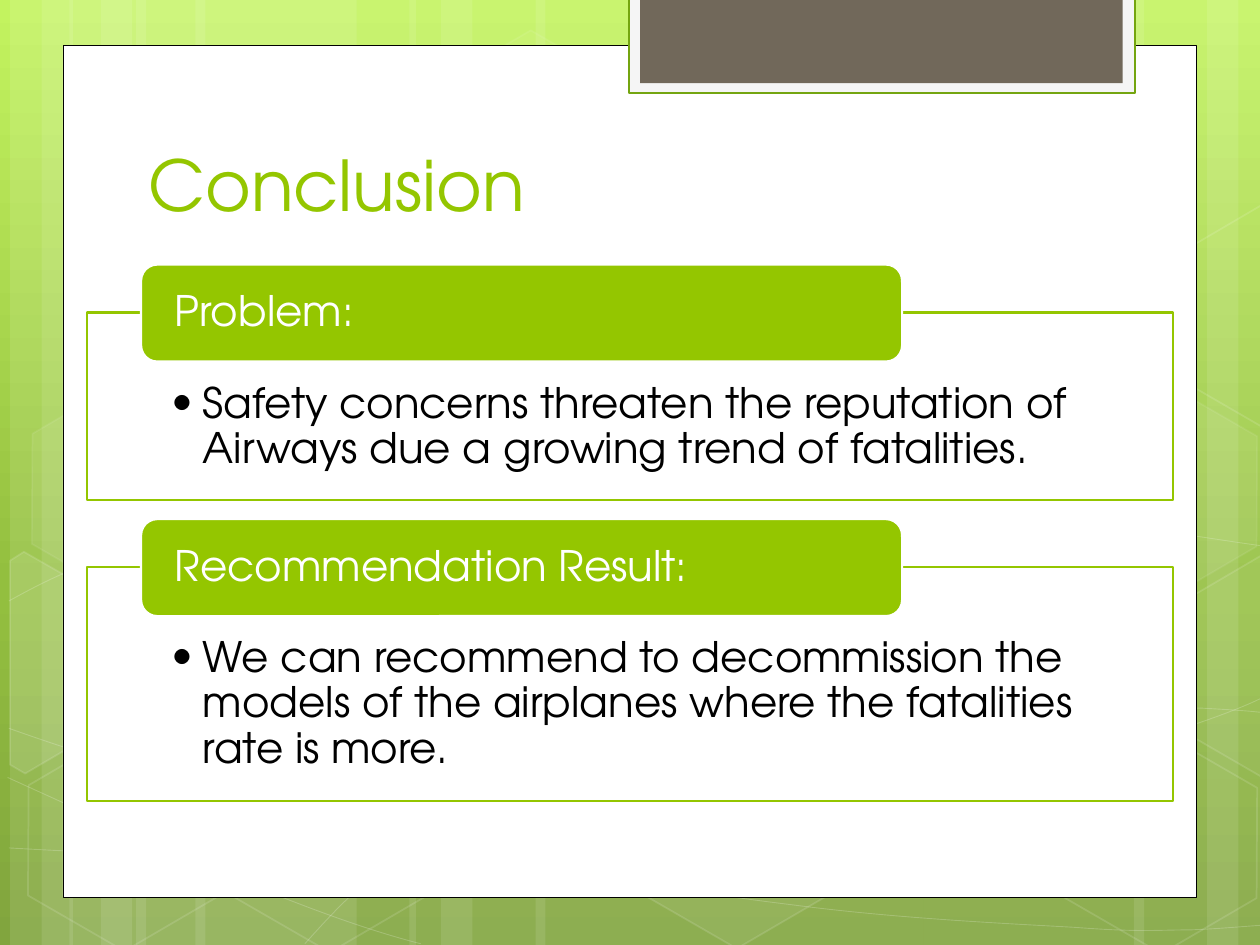
from dataclasses import dataclass
from typing import NamedTuple

from lxml import etree
from pptx import Presentation
from pptx.dml.color import RGBColor
from pptx.enum.shapes import MSO_SHAPE
from pptx.enum.text import MSO_ANCHOR, PP_ALIGN
from pptx.oxml.ns import qn
from pptx.util import Inches, Pt

RECT, ROUND, HEX = MSO_SHAPE.RECTANGLE, MSO_SHAPE.ROUNDED_RECTANGLE, MSO_SHAPE.HEXAGON
TOP, MIDDLE, BOTTOM = MSO_ANCHOR.TOP, MSO_ANCHOR.MIDDLE, MSO_ANCHOR.BOTTOM
LEFT = PP_ALIGN.LEFT


@dataclass(frozen=True)
class Theme:
    font: str = "TeX Gyre Adventor"
    title: int = 40
    body: int = 24
    green: str = "94C600"
    edge: str = "74A510"
    white: str = "FFFFFF"
    black: str = "000000"
    pale: str = "F5F5F5"
    brown: str = "71685A"
    sky: tuple = ((0, "C3F35F"), (62, "93BF3F"), (100, "81A53E"))


class Box(NamedTuple):
    left: float
    top: float
    width: float
    height: float


class Paint(NamedTuple):
    """Colour, opacity in percent, and width in points for a line."""
    color: str
    alpha: int = 100
    width: float = 0


class Hexagon(NamedTuple):
    left: float
    top: float
    fill: int
    line: int


class Shard(NamedTuple):
    points: list
    fill: int


class Card(NamedTuple):
    top: float
    height: float
    head: str
    body: str


T = Theme()

# Each curve is a start point followed by cubic segments (two controls and an end)
CURVES = [
    [(.07, 6.73), (.61, 6.76), (1.15, 6.79), (1.9, 6.78), (2.65, 6.77), (3.58, 6.75), (4.58, 6.65),
     (5.58, 6.55), (7, 6.36), (7.92, 6.17), (8.83, 5.98), (9.77, 5.68), (10.07, 5.51)],
    [(.07, 4.77), (.36, 4.61), (.65, 4.46), (1.21, 4.31), (1.78, 4.16), (2.59, 3.94), (3.47, 3.87),
     (4.36, 3.8), (5.44, 3.79), (6.54, 3.87), (7.64, 3.95), (9.47, 4.26), (10.07, 4.34)],
    [(.06, 6.17), (1.27, 6.72), (2.47, 7.27), (3.34, 7.49)],
    [(.07, 5.78), (.38, 5.89), (.7, 6), (1.28, 6.16), (1.86, 6.31), (2.73, 6.56), (3.57, 6.73),
     (4.4, 6.9), (5.45, 7.08), (6.28, 7.18), (7.11, 7.29), (8, 7.33), (8.53, 7.36),
     (9.05, 7.4), (9.19, 7.38), (9.45, 7.38), (9.71, 7.37), (9.89, 7.35), (10.07, 7.34)],
    [(2.42, 7.49), (2.6, 7.29), (2.78, 7.09), (3.02, 6.91), (3.26, 6.73), (3.6, 6.53), (3.88, 6.39),
     (4.16, 6.25), (4.33, 6.19), (4.7, 6.09), (5.06, 5.99), (5.73, 5.85), (6.08, 5.78),
     (6.44, 5.71), (6.49, 5.71), (6.8, 5.69), (7.11, 5.66), (7.6, 5.63), (7.94, 5.62),
     (8.29, 5.61), (8.86, 5.62), (8.86, 5.62), (9.08, 5.62), (9.31, 5.62), (9.53, 5.62),
     (9.71, 5.63), (9.88, 5.64), (9.97, 5.65), (10.06, 5.66), (10.03, 5.65), (10.06, 5.66)],
]
HEXES = [
    Hexagon(3.34, .36, 4, 8), Hexagon(4.97, 5.89, 6, 12), Hexagon(.11, 5.91, 0, 12),
    Hexagon(.14, 3.12, 7, 8), Hexagon(1.74, 5.92, 0, 12), Hexagon(7.53, 4.53, 10, 12),
    Hexagon(8.34, 5.93, 0, 12), Hexagon(8.34, 3.14, 7, 8),
]
SHARDS = [
    Shard([(.08, 4.45), (.19, 4.38), (.96, 4.82), (.95, 5.7), (.2, 6.14), (.08, 6.07)], 10),
    Shard([(9.26, 4.85), (10.01, 4.41), (10.09, 4.46), (10.09, 6.13), (10.02, 6.17), (9.26, 5.73)], 4),
    Shard([(9.26, 2.07), (10.01, 1.63), (10.1, 1.68), (10.09, 3.35), (10.02, 3.39), (9.26, 2.95)], 0),
]
CARDS = [
    Card(2.48, 1.49, "Problem:",
         "Safety concerns threaten the reputation of Airways due a growing trend of fatalities."),
    Card(4.5, 1.86, "Recommendation Result:",
         "We can recommend to decommission the models of the airplanes where the fatalities rate is more."),
]


def tint(fill, paint: Paint) -> None:
    fill.solid()
    fill.fore_color.rgb = RGBColor.from_string(paint.color)
    if paint.alpha < 100:
        color = fill._xPr.find(".//" + qn("a:srgbClr"))
        etree.SubElement(color, qn("a:alpha"), val=str(paint.alpha * 1000))


def style(shape, fill: Paint | None, line: Paint | None) -> None:
    shape.shadow.inherit = False
    for part, paint in ((shape.fill, fill), (shape.line.fill, line)):
        if paint and paint.alpha:
            tint(part, paint)
        else:
            part.background()
    if line:
        shape.line.width = Pt(line.width)


def draw(slide, kind, box: Box, fill: Paint | None = None, line: Paint | None = None):
    shape = slide.shapes.add_shape(kind, *map(Inches, box))
    style(shape, fill, line)
    return shape


def trace(slide, points: list, closed: bool, fill: Paint | None, line: Paint):
    dots = [(Inches(x), Inches(y)) for x, y in points]
    pen = slide.shapes.build_freeform(*dots[0])
    pen.add_line_segments(dots[1:], close=closed)
    shape = pen.convert_to_shape()
    style(shape, fill, line)
    return shape


def bend(shape) -> None:
    """Join each three line segments into one cubic Bezier segment."""
    lines = list(shape._element.iter(qn("a:lnTo")))
    for i in range(0, len(lines), 3):
        curve = etree.Element(qn("a:cubicBezTo"))
        lines[i].addprevious(curve)
        for line in lines[i:i + 3]:
            curve.append(line[0])
            line.getparent().remove(line)


def write(shape, text: str, size: int, color: str, anchor, pads: tuple):
    frame = shape.text_frame
    frame.word_wrap = True
    frame.vertical_anchor = anchor
    (frame.margin_left, frame.margin_top,
     frame.margin_right, frame.margin_bottom) = map(Inches, pads)
    para = frame.paragraphs[0]
    para.text, para.alignment = text, LEFT
    para.font.name, para.font.size = T.font, Pt(size)
    para.font.color.rgb = RGBColor.from_string(color)
    return para


def backdrop(slide) -> None:
    # Vertical gradient
    fill = slide.background.fill
    fill.gradient()
    fill.gradient_angle = 270
    stops = slide._element.find(".//" + qn("a:gsLst"))
    stops[:] = []
    for spot, color in T.sky:
        stop = etree.SubElement(stops, qn("a:gs"), pos=str(spot * 1000))
        etree.SubElement(stop, qn("a:srgbClr"), val=color)
    # Bands: one wide bar with two narrow ones beside it
    for left, width, right in ((1.08, 1.75, False), (1.55, 1.75, False),
                               (7.33, 1.75, True), (4.25, 3.08, False)):
        edge = left + width
        pair = ((edge + .5, .5), (edge - .08, .83)) if right else ((left - 1, .5), (left - .75, .83))
        for x, wide in ((left, width), *pair):
            draw(slide, RECT, Box(x, 0, wide, 7.5), Paint(T.white, 10))
    # Curves, hexagons and hexagons cut by the slide edge
    for knots in CURVES:
        bend(trace(slide, knots, False, None, Paint(T.white, 20, .5)))
    for item in HEXES:
        shape = draw(slide, HEX, Box(item.left, item.top, 1.75, 1.52),
                     Paint(T.white, item.fill), Paint(T.white, item.line, 1))
        shape.adjustments[0] = .285
        shape.rotation = 30
    for item in SHARDS:
        trace(slide, item.points, True, Paint(T.white, item.fill), Paint(T.white, 12, 1))


def add_card(slide, card: Card) -> None:
    body = draw(slide, RECT, Box(.69, card.top, 8.62, card.height),
                Paint(T.white, 90), Paint(T.green, width=1.25))
    para = write(body, card.body, T.body, T.black, TOP, (.67, .55, .67, .19))
    para.line_spacing = .9
    props = para._p.get_or_add_pPr()
    props.set("marL", str(Inches(.25)))
    props.set("indent", str(Inches(-.25)))
    mark = etree.Element(qn("a:buFont"), typeface=T.font)
    props.find(qn("a:defRPr")).addprevious(mark)
    mark.addnext(etree.Element(qn("a:buChar"), char="•"))
    head = draw(slide, ROUND, Box(1.12, card.top - .38, 6.04, .77),
                Paint(T.green), Paint(T.white, width=1.25))
    write(head, card.head, T.body, T.white, MIDDLE, (.23, 0, .23, 0)).line_spacing = .9


def main() -> None:
    deck = Presentation()
    deck.slide_width, deck.slide_height = Inches(10), Inches(7.5)
    slide = deck.slides.add_slide(deck.slide_layouts[6])
    backdrop(slide)
    # Panel and top tab
    draw(slide, RECT, Box(.5, .36, 9, 6.76), Paint(T.white), Paint(T.black, width=.5))
    draw(slide, RECT, Box(4.99, -.02, 4.02, .76), Paint(T.pale), Paint(T.edge, width=1.25))
    draw(slide, RECT, Box(5.08, -.02, 3.83, .68), Paint(T.brown))
    # Title and cards
    title = slide.shapes.add_textbox(*map(Inches, Box(1.08, .92, 7.68, .92)))
    write(title, "Conclusion", T.title, T.green, BOTTOM, (.1, .05, .1, .05))
    for card in CARDS:
        add_card(slide, card)
    deck.save("out.pptx")


if __name__ == "__main__":
    main()
